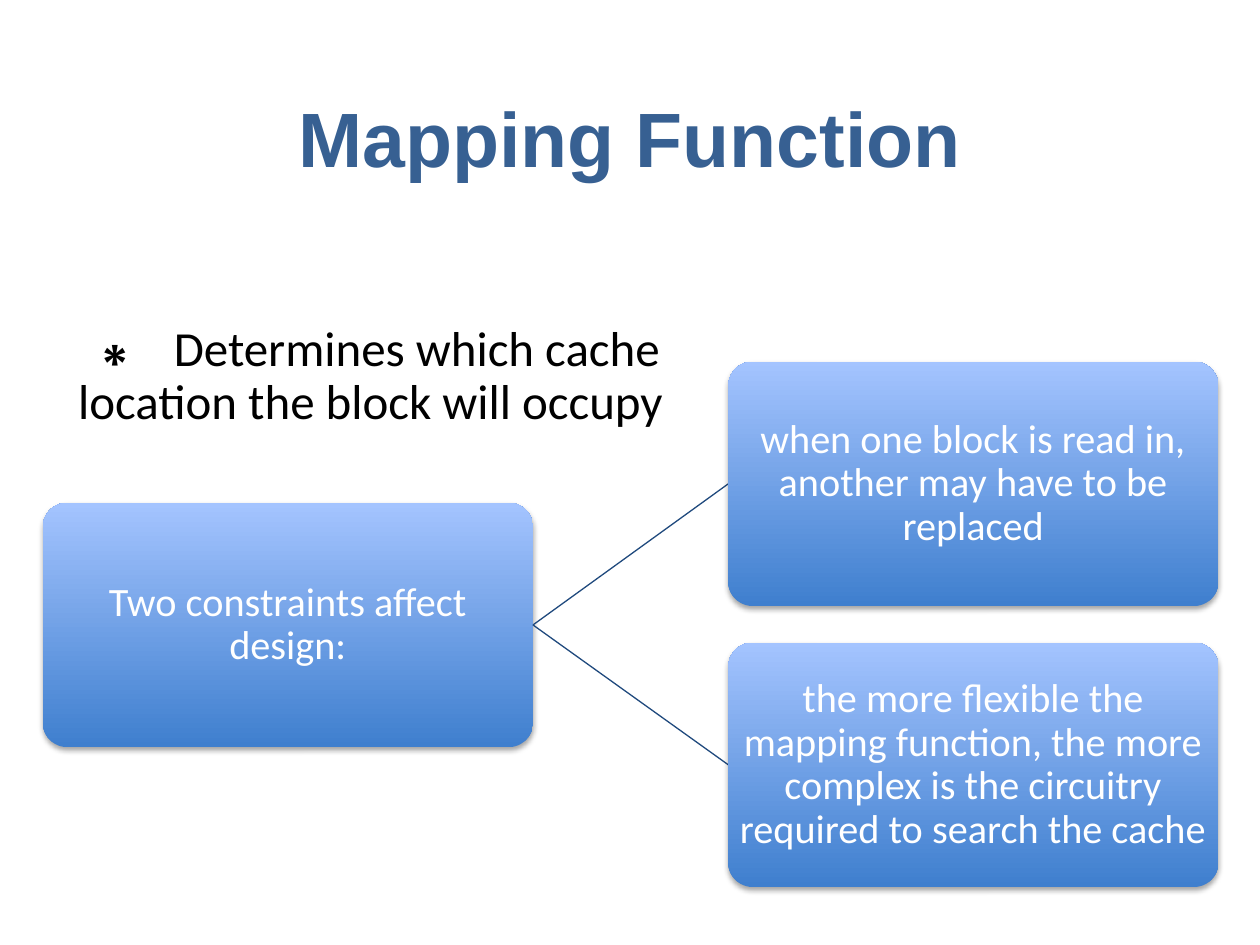
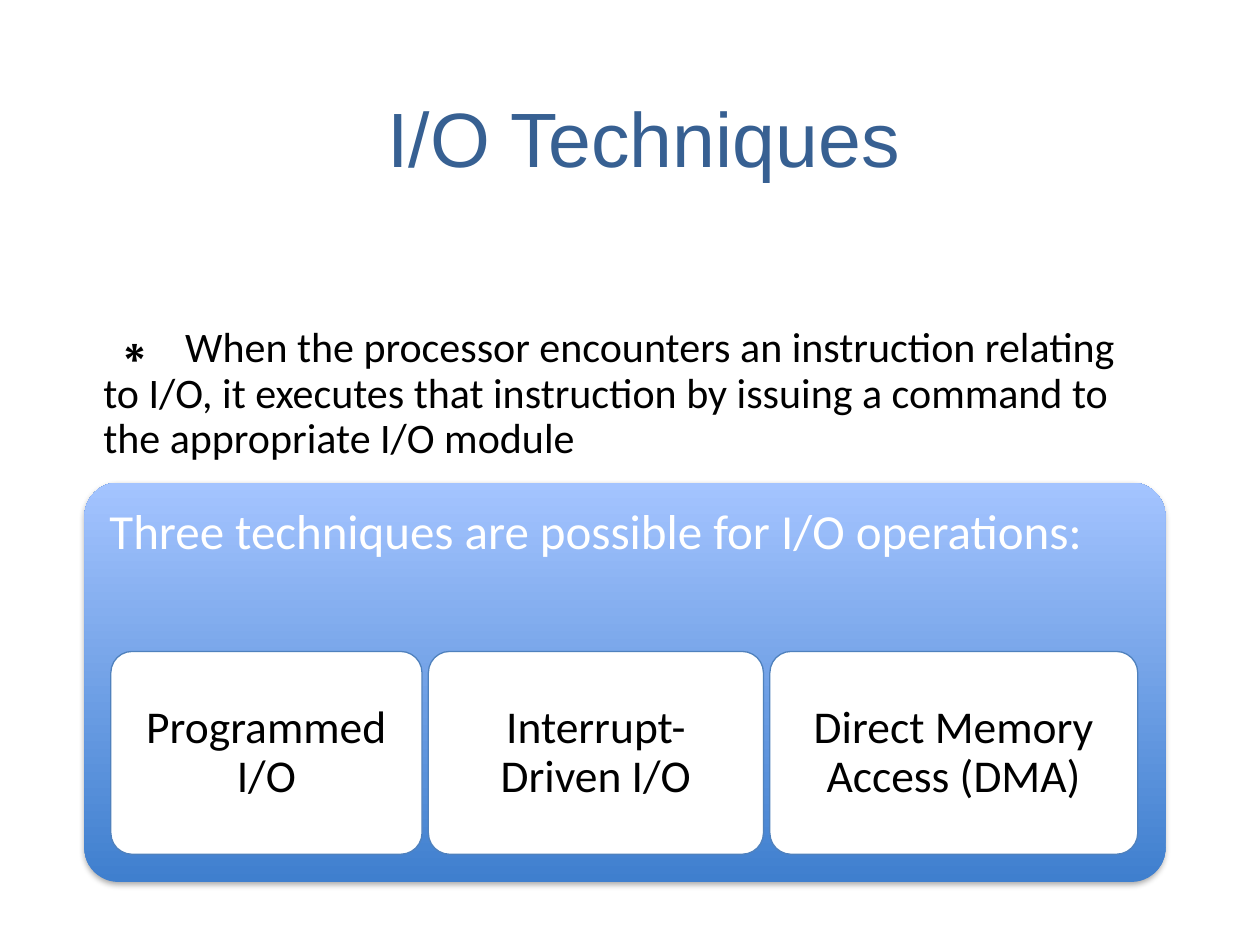
"""Build two slides on cache mapping and I/O techniques."""
from lxml.etree import SubElement
from pptx import Presentation
from pptx.dml.color import RGBColor
from pptx.enum.shapes import MSO_CONNECTOR, MSO_SHAPE
from pptx.enum.text import MSO_ANCHOR, PP_ALIGN
from pptx.oxml.ns import qn
from pptx.util import Inches, Pt

COLORS = {
    "title": "376092",
    "text": "000000",
    "white": "FFFFFF",
    "panel_bottom": "3F7FCE",
    "panel_top": "A4C4FF",
    "tile_line": "4F81BD",
    "link": "1F497D",
}


def rgb(name):
    return RGBColor.from_string(COLORS[name])


def place(sp, left, top, width, height):
    sp.left, sp.top = Inches(left), Inches(top)
    sp.width, sp.height = Inches(width), Inches(height)


def write(sp, text, size=24, color="text", font="Calibri", bold=False,
          align=PP_ALIGN.CENTER, anchor=MSO_ANCHOR.MIDDLE, insets=(0.1, 0.05), spacing=0.9):
    tf = sp.text_frame
    tf.word_wrap = True
    tf.vertical_anchor = anchor
    tf.margin_left = tf.margin_right = Inches(insets[0])
    tf.margin_top = tf.margin_bottom = Inches(insets[1])
    p = tf.paragraphs[0]
    p.alignment = align
    p.line_spacing = spacing
    p.space_before = Pt(0)
    r = p.add_run()
    r.text = text
    r.font.size = Pt(size)
    r.font.name = font
    r.font.bold = bold
    r.font.color.rgb = rgb(color)


def add_title(slide, text, width, bold=False):
    sp = slide.shapes.title
    place(sp, 0.72, 0.5, width, 1.17)
    write(sp, text, size=44, color="title", font="Arial", bold=bold, spacing=1)


def add_bullet(slide, text, box, size, insets, text_start):
    sp = slide.placeholders[1]
    place(sp, *box)
    pPr = sp.text_frame.paragraphs[0]._p.get_or_add_pPr()
    pPr.set("marL", "0")
    pPr.set("indent", "0")
    SubElement(pPr, qn("a:buSzPct"), val="150000")
    SubElement(pPr, qn("a:buChar"), char="∗")
    tabs = SubElement(pPr, qn("a:tabLst"))
    SubElement(tabs, qn("a:tab"), pos=str(Inches(text_start)), algn="l")
    write(sp, "\t" + text, size=size, align=PP_ALIGN.LEFT, insets=insets)


def add_round_box(slide, box, corner):
    sp = slide.shapes.add_shape(MSO_SHAPE.ROUNDED_RECTANGLE, *map(Inches, box))
    sp.adjustments[0] = corner
    sp.shadow.inherit = False
    return sp


def add_panel(slide, text, box, corner=0.1, **fmt):
    sp = add_round_box(slide, box, corner)
    sp.fill.gradient()
    sp.fill.gradient_angle = 90
    for stop, name in zip(sp.fill.gradient_stops, ("panel_bottom", "panel_top")):
        stop.color.rgb = rgb(name)
    sp.line.fill.background()
    effects = sp._element.spPr.find(qn("a:effectLst"))
    shadow = SubElement(effects, qn("a:outerShdw"), blurRad=str(Pt(3.1)), dist=str(Pt(1.8)),
                        dir="5400000", rotWithShape="0")
    black = SubElement(shadow, qn("a:srgbClr"), val=COLORS["text"])
    SubElement(black, qn("a:alpha"), val="35000")
    write(sp, text, color="white", **fmt)


def add_tile(slide, text, box):
    sp = add_round_box(slide, box, 0.105)
    sp.fill.solid()
    sp.fill.fore_color.rgb = rgb("white")
    sp.line.color.rgb = rgb("tile_line")
    sp.line.width = Pt(0.75)
    write(sp, text, size=26, insets=(0.11, 0.11))


def add_link(slide, *ends):
    line = slide.shapes.add_connector(MSO_CONNECTOR.STRAIGHT, *map(Inches, ends))
    line.line.color.rgb = rgb("link")
    line.line.width = Pt(0.75)
    SubElement(line._element.spPr, qn("a:effectLst"))


def add_mapping_slide(prs):
    slide = prs.slides.add_slide(prs.slide_layouts[1])
    add_title(slide, "Mapping Function", 8.56, bold=True)
    add_bullet(slide, "Determines which cache location the block will occupy",
               (0.5, 2, 5.33, 1.99), 28, (0.12, 0.06), 0.76)
    width, height = 3.89, 1.94
    root_left, root_top, branch_left = 0.34, 3.99, 5.78
    fmt = {"size": 23, "insets": (0.02, 0.02)}
    add_panel(slide, "Two constraints affect design:", (root_left, root_top, width, height), **fmt)
    constraints = (
        "when one block is read in, another may have to be replaced",
        "the more flexible the mapping function, the more complex is the circuitry "
        "required to search the cache",
    )
    for i, text in enumerate(constraints):
        top = 2.87 + i * 2.23
        add_link(slide, root_left + width, root_top + height / 2, branch_left, top + height / 2)
        add_panel(slide, text, (branch_left, top, width, height), **fmt)


def add_io_slide(prs):
    slide = prs.slides.add_slide(prs.slide_layouts[1])
    add_title(slide, "I/O Techniques", 8.78)
    add_bullet(slide, "When the processor encounters an instruction relating to I/O, it executes "
               "that instruction by issuing a command to the appropriate I/O module",
               (0.58, 2.42, 8.83, 1.42), 24, (0.24, 0), 0.65)
    add_panel(slide, "Three techniques are possible for I/O operations:",
              (0.67, 3.83, 8.58, 3.17), corner=0.085, size=28, align=PP_ALIGN.LEFT,
              anchor=MSO_ANCHOR.TOP, insets=(0.12, 0.12))
    techniques = (
        ("Programmed I/O", 2.47),
        ("Interrupt-Driven I/O", 2.66),
        ("Direct Memory Access (DMA)", 2.92),
    )
    left, gap = 0.88, 0.05
    for text, width in techniques:
        add_tile(slide, text, (left, 5.17, width, 1.61))
        left += width + gap


def main():
    prs = Presentation()
    prs.slide_width, prs.slide_height = Inches(10), Inches(7.5)
    add_mapping_slide(prs)
    add_io_slide(prs)
    prs.save("out.pptx")


if __name__ == "__main__":
    main()
